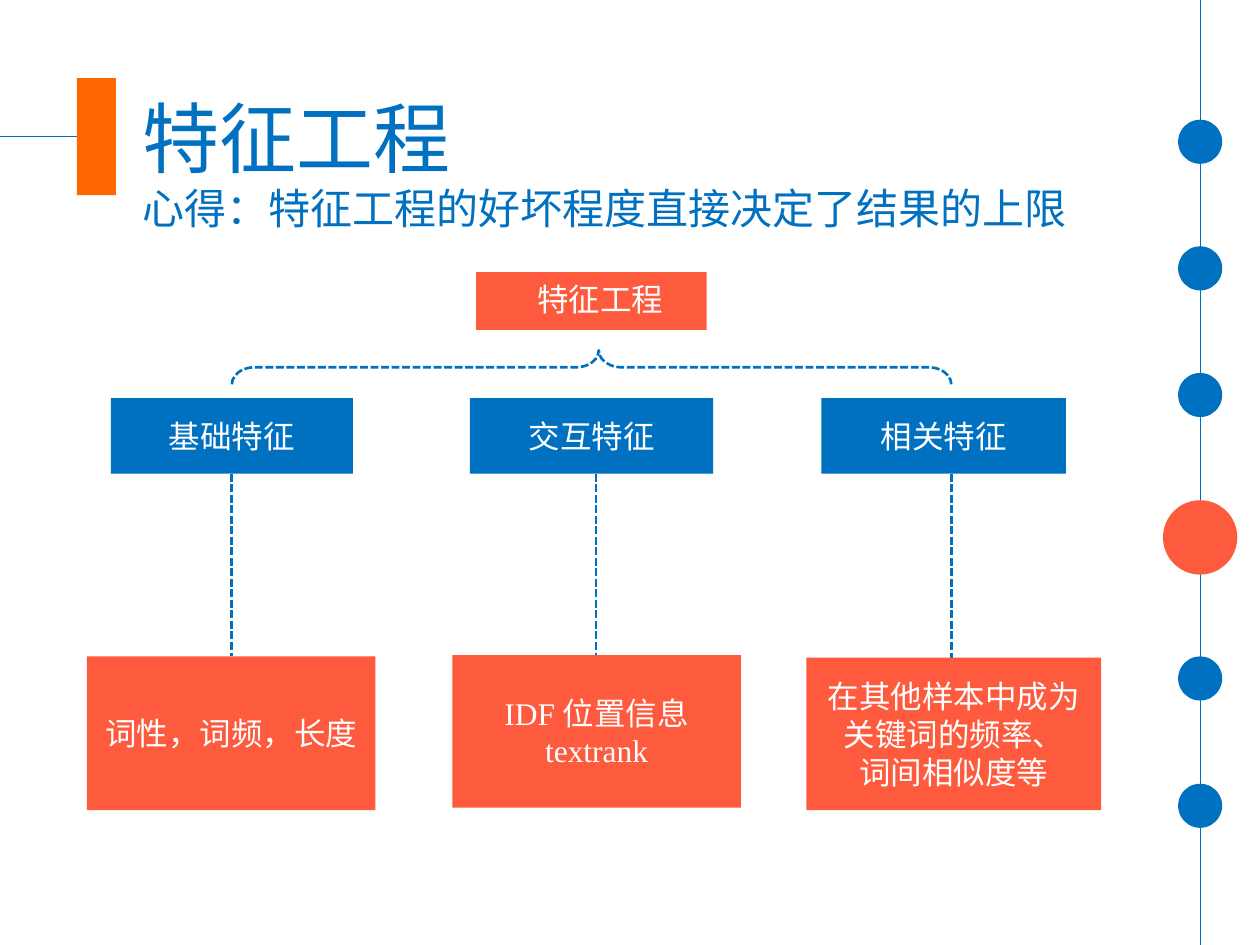
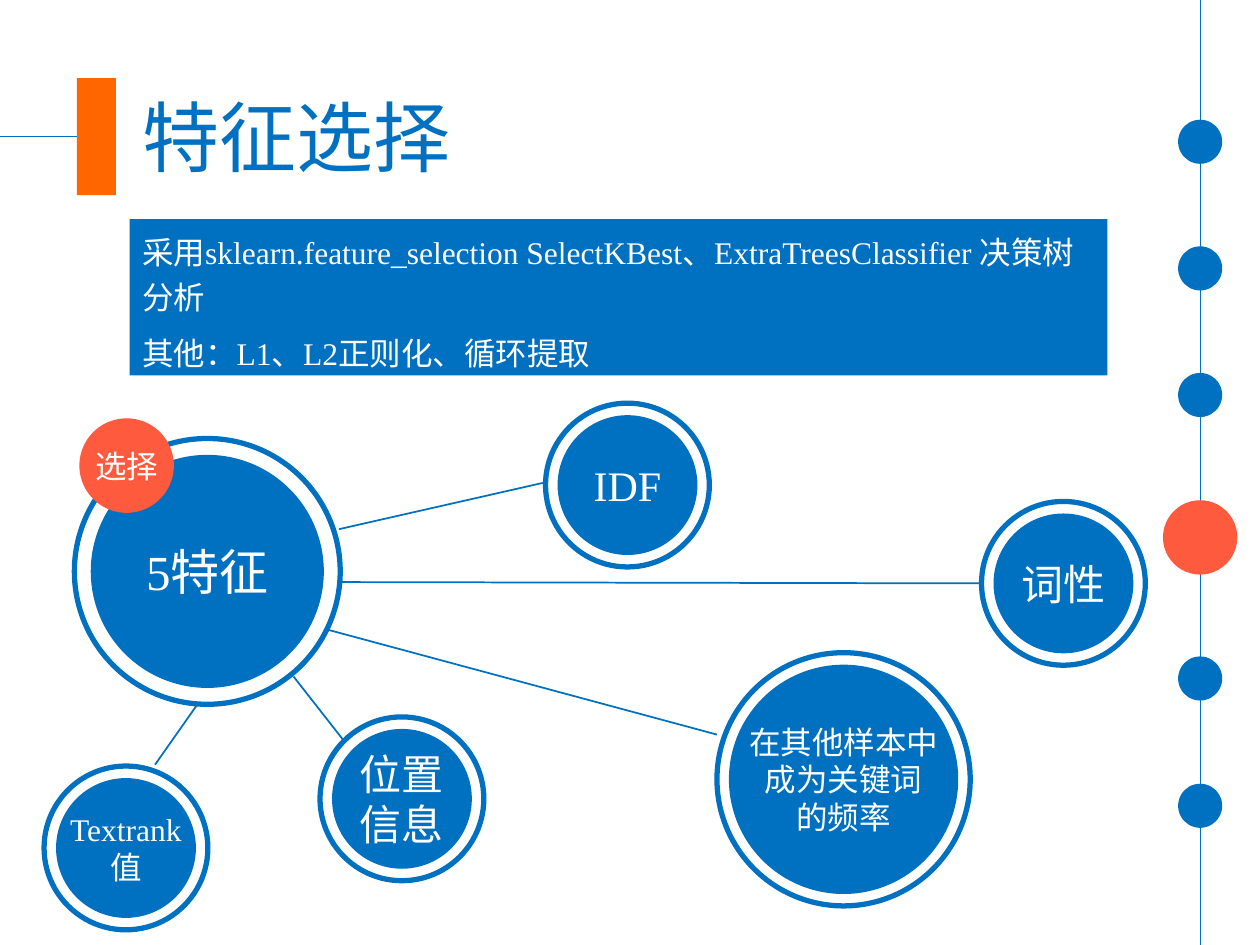
from lxml.etree import SubElement
from pptx import Presentation
from pptx.dml.color import RGBColor
from pptx.enum.dml import MSO_LINE
from pptx.enum.shapes import MSO_CONNECTOR, MSO_SHAPE
from pptx.enum.text import MSO_ANCHOR, PP_ALIGN
from pptx.oxml.ns import qn
from pptx.util import Inches, Pt

WIDE, HIGH = Inches(10), Inches(7.5)
COLS, ROWS = 100, 75
BLUE, RED, AMBER, WHITE = "0070C0", "FE5A3E", "FF6600", "FFFFFF"
FACE = "Times New Roman"
MID = {"alignment": PP_ALIGN.CENTER}
LEFT = {"alignment": PP_ALIGN.LEFT}


def col(n):
    return round(n * WIDE / COLS)


def row(n):
    return round(n * HIGH / ROWS)


def area(x, y, w, h):
    return col(x), row(y), col(w), row(h)


def paint(fill, tone):
    fill.solid()
    fill.fore_color.rgb = RGBColor.from_string(tone)


def apply(item, form):
    for name, value in form.items():
        setattr(item, name, value)


def stroke(line, width, dash=None):
    paint(line.fill, BLUE)
    apply(line, {"width": Pt(width), "dash_style": dash})


def write(shape, lines, size, tone=WHITE, para=MID, **frame):
    body = shape.text_frame
    apply(body, {"word_wrap": True, "vertical_anchor": MSO_ANCHOR.MIDDLE, **frame})
    sizes = size if isinstance(size, list) else [size] * len(lines)
    for i, (line, points) in enumerate(zip(lines, sizes)):
        part = body.add_paragraph() if i else body.paragraphs[0]
        apply(part, para)
        run = part.add_run()
        run.text = line
        apply(run.font, {"name": FACE, "size": Pt(points)})
        paint(run.font.fill, tone)


def shape(page, kind, place, tone=None):
    item = page.shapes.add_shape(kind, *area(*place))
    item.shadow.inherit = False
    if tone:
        paint(item.fill, tone)
    else:
        item.fill.background()
    item.line.fill.background()
    return item


def box(page, place, tone):
    return shape(page, MSO_SHAPE.RECTANGLE, place, tone)


def dot(page, x, y, size, tone=None):
    return shape(page, MSO_SHAPE.OVAL, (x, y, size, size), tone)


def link(page, start, end, width, dash=None):
    item = page.shapes.add_connector(
        MSO_CONNECTOR.STRAIGHT, col(start[0]), row(start[1]), col(end[0]), row(end[1])
    )
    SubElement(item._element.spPr, qn("a:effectLst"))
    stroke(item.line, width, dash)


def disc(page, x, y, size, lines, points, gap=0.95):
    core = dot(page, x + gap, y + gap, size - 2 * gap, BLUE)
    write(core, lines, points, word_wrap=False, margin_left=0, margin_right=0)
    stroke(dot(page, x, y, size).line, 3)


def rail(page):
    link(page, (95.25, 0), (95.25, ROWS), 0.5)
    dot(page, 92.3, 39.7, 5.9, RED)
    for y in (9.5, 19.55, 29.6, 52.1, 62.2):
        dot(page, 93.5, y, 3.5, BLUE)


def head(page, lines, sizes, high):
    title = page.shapes.add_textbox(*area(10.3, 6.6, 85.7, high))
    write(title, lines, sizes, BLUE, LEFT)
    box(page, (6.1, 6.2, 3.1, 9.3), AMBER)
    link(page, (0, 10.8), (6.1, 10.8), 0.5)


def branch(page, stem, name, label, lines, leaf):
    link(page, (stem, 37.6), (stem, leaf[1]), 1.5, MSO_LINE.SQUARE_DOT)
    write(box(page, leaf, RED), lines, 18)
    left, wide = label
    write(box(page, (left, 31.6, wide, 6), BLUE), [name], 18)


def tree(page):
    root = box(page, (37.8, 21.6, 18.3, 4.6), RED)
    write(root, ["特征工程"], 18, margin_left=col(2.4), margin_bottom=row(0.8))
    last = ["在其他样本中成为关键词的频率、", "词间相似度等"]
    for stem, name, label, lines, leaf in (
        (18.4, "基础特征", (8.8, 19.2), ["词性，词频，长度"], (6.9, 52.1, 22.9, 12.2)),
        (47.3, "交互特征", (37.3, 19.3), ["IDF 位置信息textrank"], (35.9, 52, 22.9, 12.1)),
        (75.5, "相关特征", (65.2, 19.4), last, (64, 52.2, 23.4, 12.1)),
    ):
        branch(page, stem, name, label, lines, leaf)
    brace = shape(page, MSO_SHAPE.RIGHT_BRACE, (45.6, 0.6, 2.7, 57.1))
    brace.rotation = 270
    for i, value in enumerate((0.67, 0.51)):
        brace.adjustments[i] = value
    stroke(brace.line, 1.5, MSO_LINE.SQUARE_DOT)


def web(page):
    disc(page, 5.9, 34.8, 21.1, ["5特征"], 28, 1.3)
    disc(page, 25.4, 56.9, 13, ["位置", "信息"], 24)
    disc(page, 56.9, 51.8, 20.1, ["在其他样本中", "成为关键词", "的频率"], 18)
    disc(page, 77.9, 39.8, 13, ["词性"], 24)
    disc(page, 43.3, 32, 13, ["IDF"], 24)
    disc(page, 3.5, 60.8, 13, ["Textrank", "值"], 18)
    write(dot(page, 6.3, 33.2, 7.5, RED), ["选择"], 18, word_wrap=False)
    for start, end in (
        ((23.3, 53.7), (27.3, 58.8)),
        ((26.9, 42), (43.2, 38.3)),
        ((26.1, 50), (56.9, 58.3)),
        ((27.1, 46.2), (77.9, 46.3)),
        ((15.6, 56), (12.3, 60.7)),
    ):
        link(page, start, end, 1)


def note(page):
    lines = [
        "采用sklearn.feature_selection SelectKBest、ExtraTreesClassifier 决策树分析",
        "其他：L1、L2正则化、循环提取",
    ]
    band = box(page, (10.3, 17.4, 77.6, 12.4), BLUE)
    form = {**LEFT, "line_spacing": 1.2}
    write(band, lines, 18, para=form, vertical_anchor=MSO_ANCHOR.TOP, margin_top=row(0.5))
    band.text_frame.paragraphs[1].space_before = Pt(6)


def main():
    deck = Presentation()
    apply(deck, {"slide_width": WIDE, "slide_height": HIGH})
    blank = deck.slide_layouts[6]

    page = deck.slides.add_slide(blank)
    tree(page)
    rail(page)
    head(page, ["特征工程", "心得：特征工程的好坏程度直接决定了结果的上限"], [44, 24], 12.5)

    page = deck.slides.add_slide(blank)
    web(page)
    rail(page)
    note(page)
    head(page, ["特征选择"], 44, 8.4)

    deck.save("out.pptx")


if __name__ == "__main__":
    main()
